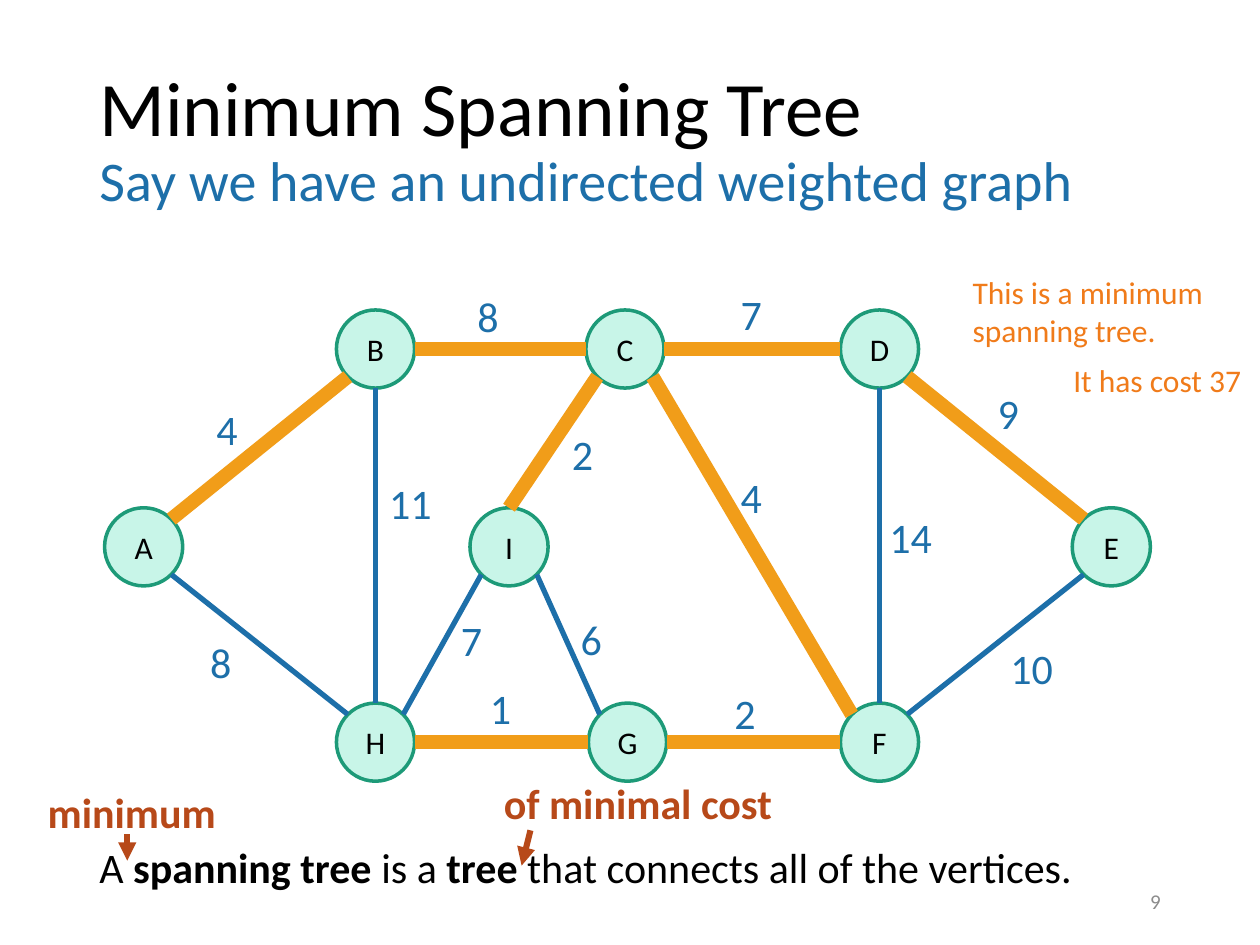
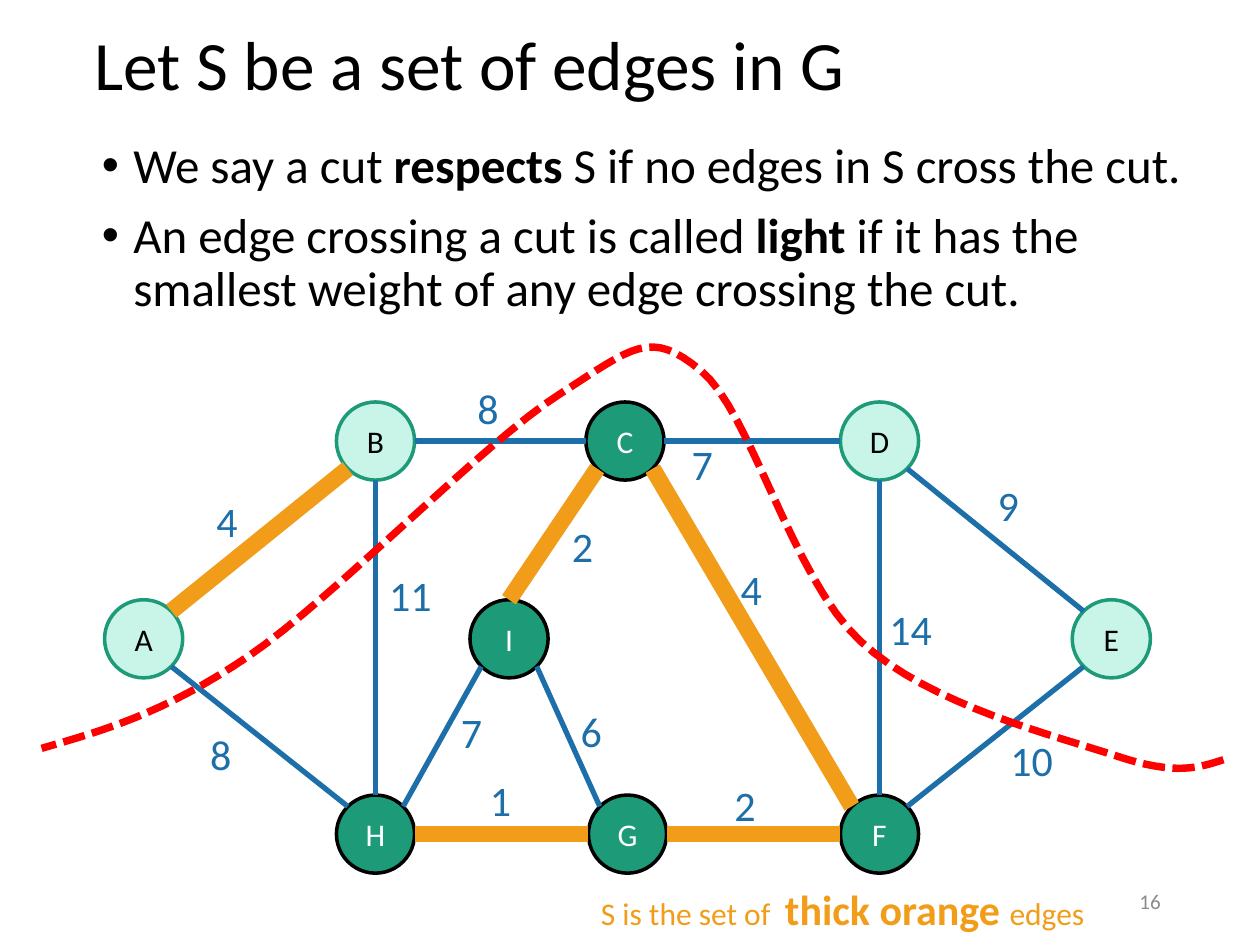
"""Build two slides on minimum spanning trees and cuts that respect an edge set."""
from lxml.etree import SubElement
from pptx import Presentation
from pptx.dml.color import RGBColor
from pptx.enum.dml import MSO_LINE
from pptx.enum.shapes import MSO_CONNECTOR, MSO_SHAPE
from pptx.enum.text import MSO_ANCHOR, PP_ALIGN
from pptx.oxml.ns import qn
from pptx.util import Inches, Pt

FONT = "Calibri"
COLORS = {
    "black": "000000", "white": "FFFFFF", "blue": "1D6FA9", "mint": "C8F5E8",
    "green": "1D9A78", "gold": "F19D19", "orange": "F07B1A", "rust": "B74919",
    "red": "FF0000", "gray": "8C8C8C",
}
RGB = {name: RGBColor.from_string(value) for name, value in COLORS.items()}

RADIUS = 0.31
NODES = {
    "D": (6.98, 2.77), "C": (4.96, 2.77), "B": (2.98, 2.77),
    "A": (1.14, 4.34), "H": (2.98, 5.89), "G": (4.98, 5.89),
    "F": (6.98, 5.89), "I": (4.04, 4.34), "E": (8.82, 4.34),
}
DIAGONAL = 0.22
SITES = {
    "n": (0, -RADIUS), "s": (0, RADIUS), "w": (-RADIUS, 0), "e": (RADIUS, 0),
    "nw": (-DIAGONAL, -DIAGONAL), "ne": (DIAGONAL, -DIAGONAL),
    "sw": (-DIAGONAL, DIAGONAL), "se": (DIAGONAL, DIAGONAL),
}
EDGES = [
    ("C", "se", "F", "nw", "4", 5.78, 3.69),
    ("C", "e", "D", "w", "7", 5.78, 2.24),
    ("E", "nw", "D", "se", "9", 7.82, 3.03),
    ("E", "sw", "F", "ne", "10", 7.92, 5.05),
    ("D", "s", "F", "n", "14", 6.96, 4.01),
    ("I", "se", "G", "nw", "6", 4.51, 4.82),
    ("G", "e", "F", "w", "2", 5.73, 5.41),
    ("I", "n", "C", "sw", "2", 4.44, 3.35),
    ("B", "e", "C", "w", "8", 3.69, 2.26),
    ("A", "ne", "B", "sw", "4", 1.62, 3.15),
    ("A", "se", "H", "nw", "8", 1.57, 5.0),
    ("G", "w", "H", "e", "1", 3.79, 5.37),
    ("I", "sw", "H", "ne", "7", 3.56, 4.83),
    ("H", "n", "B", "s", "11", 2.99, 3.74),
]
GRAPHS = [
    {"page": "9", "dy": 0, "thick": 8, "dark": "", "moved": {},
     "chosen": ["CF", "CD", "ED", "GF", "IC", "BC", "AB", "GH"]},
    {"page": "16", "dy": 0.73, "thick": 9.5, "dark": "CHGFI", "moved": {"CD": (5.39, 2.7)},
     "chosen": ["CF", "GF", "IC", "AB", "GH"]},
]


def add_text(s, box, lines, size, color, bold=False, spacing=None):
    """Add a text box; parts between asterisks are bold."""
    tf = s.shapes.add_textbox(*map(Inches, box)).text_frame
    tf.word_wrap = True
    tf.text = "\n".join(lines)
    for p, line in zip(tf.paragraphs, lines):
        parts = line.split("*")
        p.text = parts[0]
        for part in parts[1:]:
            p.add_run().text = part
        p.line_spacing = spacing
        for i, r in enumerate(p.runs):
            r.font.name, r.font.size = FONT, Pt(size)
            r.font.bold = bold or (len(parts) > 1 and i % 2 == 1)
            r.font.color.rgb = RGB[color]
    return tf


def add_line(s, start, end, color, width):
    """Add a straight line without shadow."""
    line = s.shapes.add_connector(MSO_CONNECTOR.STRAIGHT, *map(Inches, (*start, *end)))
    line.line.color.rgb = RGB[color]
    line.line.width = Pt(width)
    SubElement(line._element.spPr, qn("a:effectLst"))
    return line


prs = Presentation()
prs.slide_width, prs.slide_height = Inches(10), Inches(7.5)

for graph in GRAPHS:
    s = prs.slides.add_slide(prs.slide_layouts[6])
    dy = graph["dy"]
    for name, (x, y) in NODES.items():
        dark = name in graph["dark"]
        sp = s.shapes.add_shape(MSO_SHAPE.OVAL, Inches(x - RADIUS), Inches(y - RADIUS + dy),
                                Inches(2 * RADIUS), Inches(2 * RADIUS))
        sp.shadow.inherit = False
        sp.fill.solid()
        sp.fill.fore_color.rgb = RGB["green" if dark else "mint"]
        sp.line.color.rgb = RGB["black" if dark else "green"]
        sp.line.width = Pt(2)
        tf = sp.text_frame
        tf.text = name
        tf.vertical_anchor = MSO_ANCHOR.MIDDLE
        p = tf.paragraphs[0]
        p.alignment = PP_ALIGN.CENTER
        font = p.runs[0].font
        font.name, font.size = FONT, Pt(18)
        font.color.rgb = RGB["white" if dark else "black"]

    for a, a_site, b, b_site, weight, x, y in EDGES:
        ends = [(NODES[n][0] + SITES[site][0], NODES[n][1] + SITES[site][1] + dy)
                for n, site in ((a, a_site), (b, b_site))]
        chosen = a + b in graph["chosen"]
        add_line(s, *ends, "gold" if chosen else "blue", graph["thick"] if chosen else 3)
    for a, _, b, _, weight, x, y in EDGES:
        x, y = graph["moved"].get(a + b, (x, y))
        add_text(s, (x, y + dy, 0.86, 0.5), [weight], 24, "blue")

    tf = add_text(s, (7.06, 6.95, 2.25, 0.4), [graph["page"]], 12, "gray")
    tf.vertical_anchor = MSO_ANCHOR.MIDDLE
    tf.paragraphs[0].alignment = PP_ALIGN.RIGHT

tree, cut = prs.slides

tf = add_text(tree, (0.69, 0.4, 8.62, 1.45),
              ["Minimum Spanning Tree\vSay we have an undirected weighted graph"],
              44, "black", spacing=0.9)
tf.vertical_anchor = MSO_ANCHOR.MIDDLE
subtitle = tf.paragraphs[0].runs[1].font
subtitle.size = Pt(32)
subtitle.color.rgb = RGB["blue"]

add_text(tree, (0.69, 6.63, 8.83, 0.5),
         ["A *spanning tree *is a* tree *that connects all of the vertices."], 24, "black")
add_text(tree, (7.62, 2.12, 2.21, 0.71), ["This is a minimum spanning tree."], 18, "orange")
add_text(tree, (8.42, 2.82, 1.96, 0.4), ["It has cost 37"], 18, "orange")
add_text(tree, (0.28, 6.19, 2.4, 0.5), ["minimum"], 24, "rust", bold=True)
add_text(tree, (3.9, 6.12, 2.4, 0.5), ["of minimal cost"], 24, "rust", bold=True)
for start, end in [((1.01, 6.62), (1.01, 6.83)), ((4.21, 6.59), (4.14, 6.87))]:
    arrow = add_line(tree, start, end, "rust", 3.5)
    SubElement(arrow.line._get_or_add_ln(), qn("a:tailEnd"), type="triangle")

tf = add_text(cut, (0.65, 0.17, 8.62, 0.74), ["Let S be a set of edges in G"],
              39.6, "black", spacing=0.9)
tf.vertical_anchor = MSO_ANCHOR.MIDDLE

tf = add_text(cut, (0.71, 1.07, 9, 1.56), [
    "We say a cut *respects* S if no edges in S cross the cut.",
    "An edge crossing a cut is called *light *if it has the smallest weight of any edge "
    "crossing the cut.",
], 28, "black", spacing=0.9)
tf.paragraphs[1].space_before = Pt(10)
for p in tf.paragraphs:
    pPr = p._p.get_or_add_pPr()
    pPr.set("marL", str(Inches(0.25)))
    pPr.set("indent", str(Inches(-0.25)))
    SubElement(pPr, qn("a:buFont"), typeface="Arial")
    SubElement(pPr, qn("a:buChar"), char="•")

CUT_START = (9.71, 6.03)
CUT_CURVES = [
    ((9.52, 6.09), (9.34, 6.16), (8.86, 6)),
    ((8.38, 5.84), (7.38, 5.6), (6.83, 5.09)),
    ((6.28, 4.58), (5.96, 3.26), (5.56, 2.94)),
    ((5.16, 2.61), (5.03, 2.75), (4.44, 3.13)),
    ((3.84, 3.51), (2.66, 4.74), (1.97, 5.21)),
    ((1.29, 5.67), (0.81, 5.8), (0.33, 5.94)),
]
STEPS = 16
points = [CUT_START]
for c1, c2, end in CUT_CURVES:
    start = points[-1]
    for t in (i / STEPS for i in range(1, STEPS + 1)):
        u = 1 - t
        points.append(tuple(u**3 * p0 + 3 * u * u * t * p1 + 3 * u * t * t * p2 + t**3 * p3
                            for p0, p1, p2, p3 in zip(start, c1, c2, end)))
builder = cut.shapes.build_freeform(*map(Inches, CUT_START))
builder.add_line_segments([(Inches(x), Inches(y)) for x, y in points[1:]], close=False)
sp = builder.convert_to_shape()
sp.shadow.inherit = False
sp.fill.background()
sp.line.color.rgb = RGB["red"]
sp.line.width = Pt(4.25)
sp.line.dash_style = MSO_LINE.SQUARE_DOT

tf = add_text(cut, (4.67, 6.96, 4.42, 0.5), ["S is the set of  *thick orange *edges"], 18, "gold")
tf.paragraphs[0].runs[1].font.size = Pt(24)

prs.save("out.pptx")
